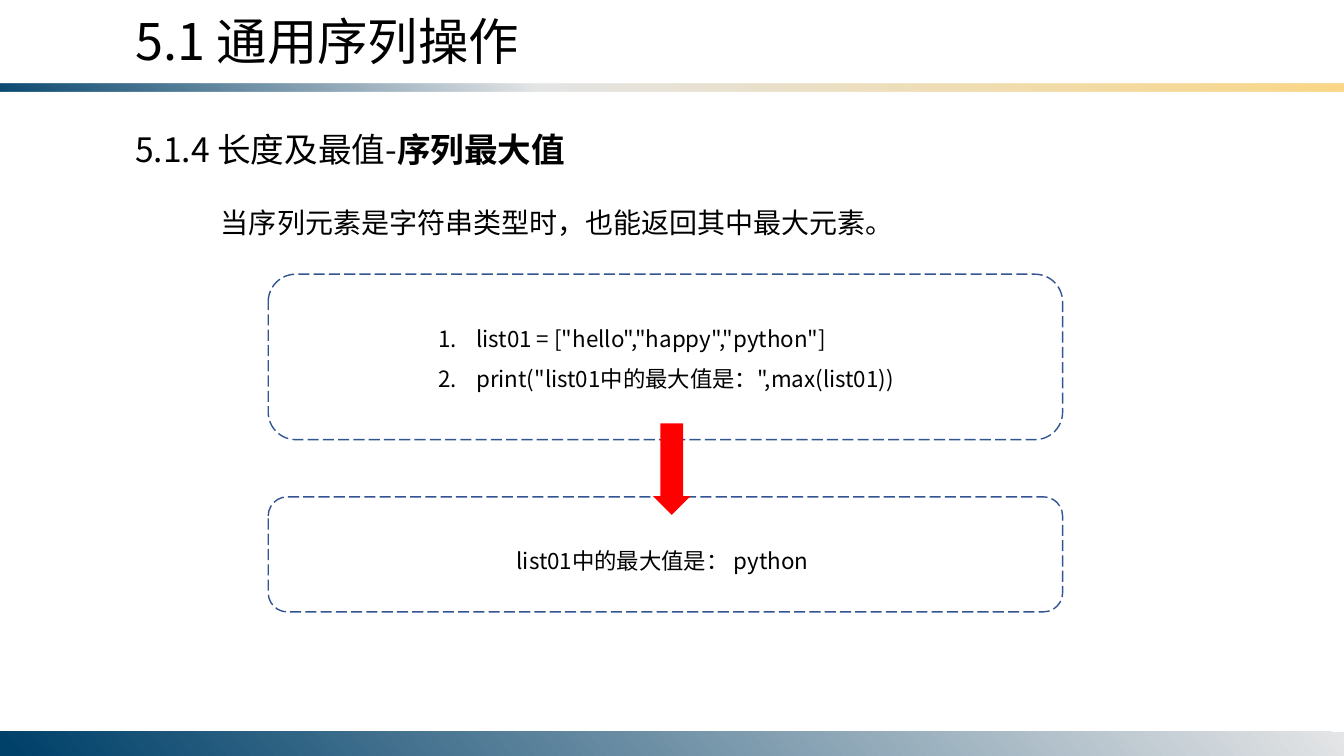
from lxml import etree
from pptx import Presentation
from pptx import util as u
from pptx.dml.color import RGBColor
from pptx.enum import dml, shapes, text
from pptx.oxml import ns

BLACK = RGBColor(0, 0, 0)
BLUE = RGBColor(0x32, 0x54, 0x91)
RED = RGBColor(0xFF, 0, 0)
NAVY = RGBColor(0, 0x41, 0x6A)
PALE = RGBColor(0xE4, 0xE5, 0xE6)
GOLD = RGBColor(0xFB, 0xD7, 0x86)
FONT = "Noto Sans CJK SC"
WIDE, HIGH = 33.87, 19.05

# Each line is a list of (words, bold) runs.
TITLE = [[("5.1 通用序列操作", False)]]
TOPIC = [[("5.1.4 长度及最值-", False), ("序列最大值", True)]]
LEAD = [[("当序列元素是字符串类型时，也能返回其中最大元素。", False)]]
CODE = [[('list01 = ["hello","happy","python"]', False)],
        [('print("list01中的最大值是：",max(list01))', False)]]
RESULT = [[("list01中的最大值是： python", False)]]

# Lengths in cm: left, top, width, height.
BARS = [  # place, angle, flipped, stops of (percent, colour, opacity)
    ((0, 2.11, WIDE, 0.2), 50, True,
     [(0, NAVY, 95), (40, PALE, 100), (100, GOLD, 100)]),
    ((0, 18.44, WIDE, 0.61), 140, False,
     [(0, PALE, 100), (99, NAVY, 100)]),
]
FRAMES = [(6.76, 6.91, 20.02, 4.17), (6.76, 12.52, 20.02, 2.9)]
ARROW = (16.5, 10.69, 0.86, 2.26)


def cm(place):
    return [u.Cm(n) for n in place]


def add(parent, tag, **attrs):
    return etree.SubElement(parent, ns.qn(tag), {k: str(v) for k, v in attrs.items()})


def draw(kind, place):
    """Add a shape with no shadow and no fill."""
    shape = slide.shapes.add_shape(kind, *cm(place))
    shape.shadow.inherit = False
    shape.fill.background()
    return shape


def blend(shape, angle, stops):
    """Replace the fill with a linear gradient."""
    old = shape._element.spPr.find(ns.qn("a:noFill"))
    grad = etree.Element(ns.qn("a:gradFill"), rotWithShape="1")
    items = add(grad, "a:gsLst")
    for pos, color, alpha in stops:
        stop = add(items, "a:gs", pos=pos * 1000)
        tint = add(stop, "a:srgbClr", val=color)
        if alpha < 100:
            add(tint, "a:alpha", val=alpha * 1000)
    add(grad, "a:lin", ang=angle * 60000, scaled=0)
    old.getparent().replace(old, grad)


def write(place, lines, size, box=None, space=1.0, left=0, first=0, count=False):
    box = box or slide.shapes.add_textbox(*cm(place))
    box.left, box.top, box.width, box.height = cm(place)
    frame = box.text_frame
    frame.word_wrap = True
    frame.auto_size = text.MSO_AUTO_SIZE.NONE
    frame.vertical_anchor = text.MSO_ANCHOR.TOP
    for i, runs in enumerate(lines):
        para = frame.add_paragraph() if i else frame.paragraphs[0]
        props = para._p.get_or_add_pPr()
        props.set("marL", str(u.Cm(left)))
        props.set("indent", str(u.Cm(first)))
        if count:
            add(props, "a:buFont", typeface="+mj-lt")
            add(props, "a:buAutoNum", type="arabicPeriod")
        para.alignment = text.PP_ALIGN.LEFT
        para.line_spacing = space
        para.space_before = u.Pt(0)
        for words, bold in runs:
            run = para.add_run()
            run.text = words
            font = run.font
            font.size, font.bold, font.name = u.Pt(size), bold, FONT
            font.color.rgb = BLACK
            add(run._r.get_or_add_rPr(), "a:ea", typeface=FONT)


deck = Presentation()
deck.slide_width, deck.slide_height = u.Cm(WIDE), u.Cm(HIGH)
slide = deck.slides.add_slide(deck.slide_layouts[1])
title, body = slide.placeholders

for place, angle, flip, stops in BARS:
    bar = draw(shapes.MSO_SHAPE.RECTANGLE, place)
    bar.line.fill.background()
    blend(bar, angle, stops)
    if flip:
        bar._element.spPr.xfrm.set("flipV", "1")

write((3.16, 0.13, 15.54, 1.8), TITLE, 36, box=title)
write((3.9, 4.62, 27, 1.52), LEAD, 20, space=1.5, first=1.42)
write((3.16, 3.12, 12.5, 1.27), TOPIC, 24)
write((10.79, 7.72, 14, 2.31), CODE, 16, box=body, space=1.5,
      left=0.96, first=-0.96, count=True)
write((12.77, 13.32, 9, 1.27), RESULT, 16, space=1.5)

for place in FRAMES:
    line = draw(shapes.MSO_SHAPE.ROUNDED_RECTANGLE, place).line
    line.color.rgb = BLUE
    line.width = u.Pt(1)
    line.dash_style = dml.MSO_LINE.LONG_DASH

arrow = draw(shapes.MSO_SHAPE.DOWN_ARROW, ARROW)
arrow.adjustments[0], arrow.adjustments[1] = 0.62, 0.5
arrow.fill.solid()
arrow.fill.fore_color.rgb = RED
arrow.line.color.rgb = RED
arrow.line.width = u.Pt(1)
add(arrow.line._get_or_add_ln(), "a:miter", lim=800000)

deck.save("out.pptx")
